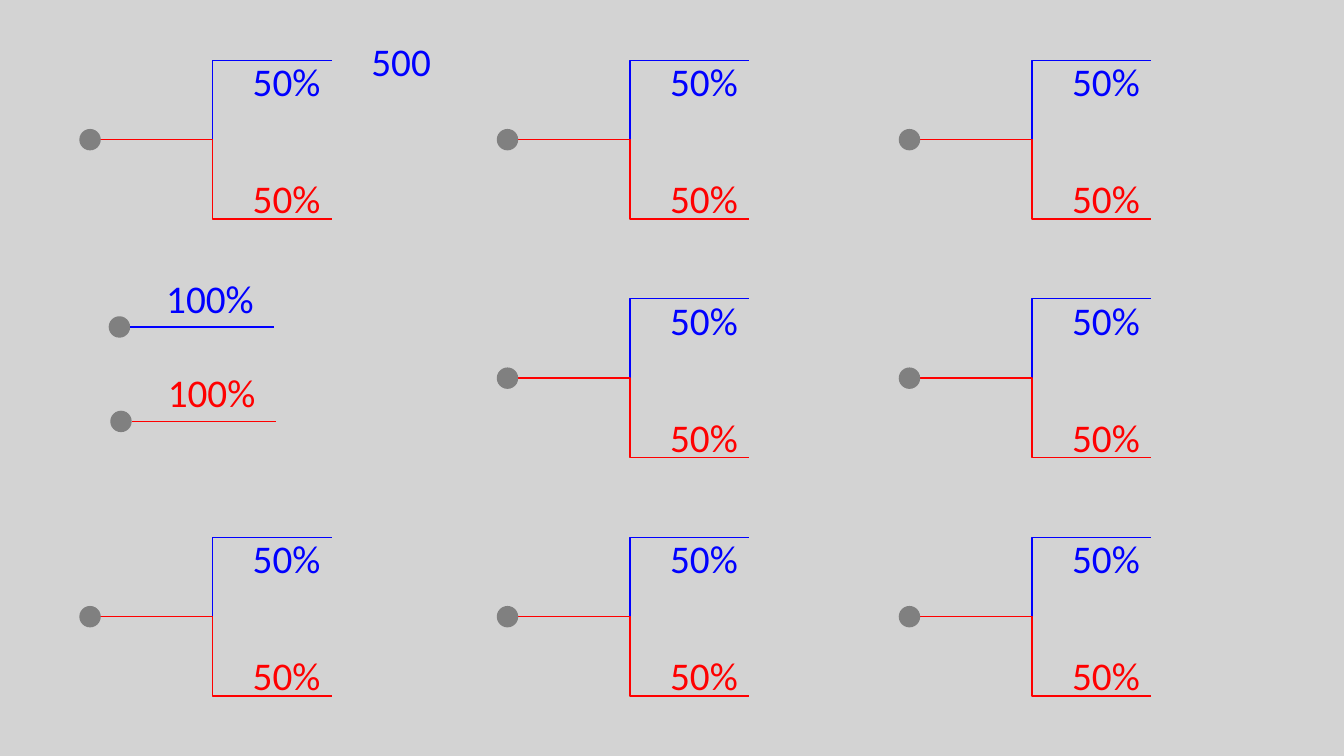
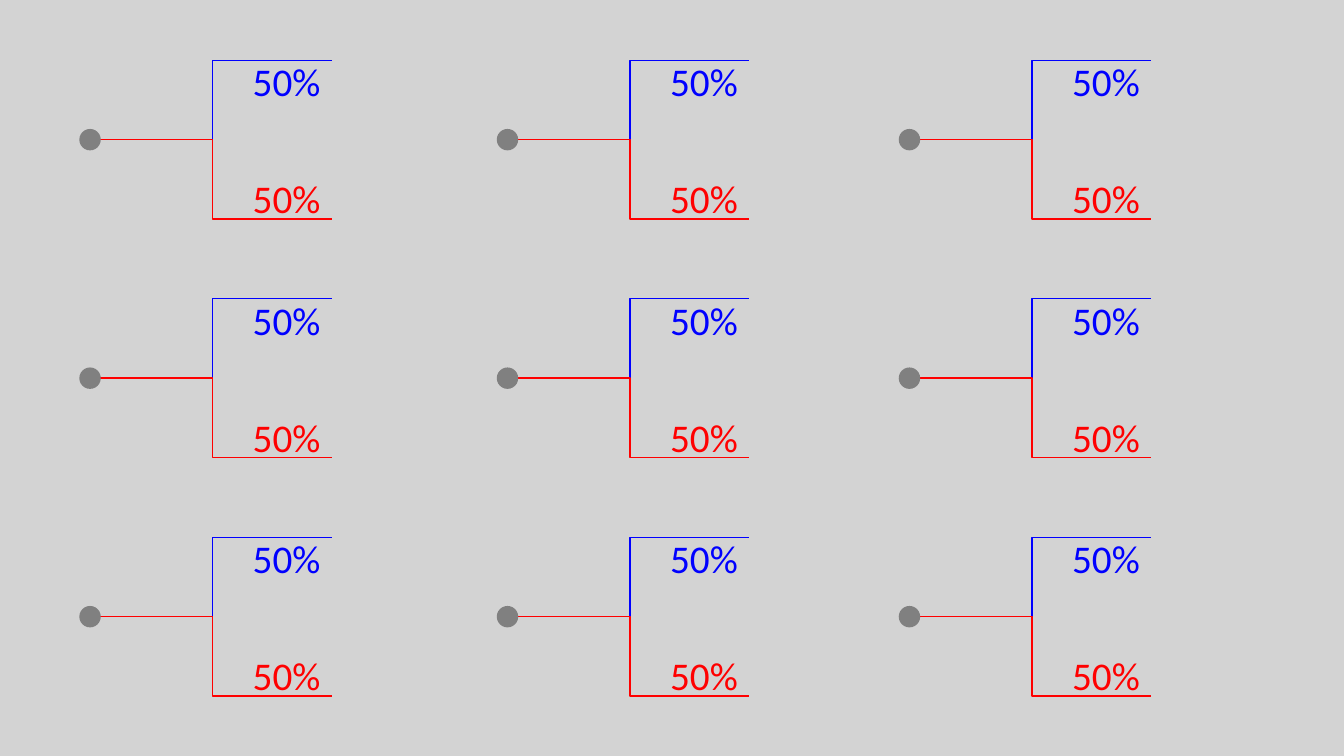
from dataclasses import dataclass
from itertools import product

from lxml.etree import SubElement
from pptx import Presentation
from pptx.dml.color import RGBColor
from pptx.enum.shapes import MSO_CONNECTOR, MSO_SHAPE
from pptx.enum.text import MSO_AUTO_SIZE, PP_ALIGN
from pptx.oxml.ns import qn
from pptx.util import Cm, Pt


@dataclass(frozen=True)
class Theme:
    background: RGBColor = RGBColor(0xD3, 0xD3, 0xD3)
    node: RGBColor = RGBColor(0x80, 0x80, 0x80)
    upper: RGBColor = RGBColor(0x00, 0x00, 0xFF)
    lower: RGBColor = RGBColor(0xFF, 0x00, 0x00)
    font: str = "Calibri"
    label_size: Pt = Pt(28)
    branch_weight: Pt = Pt(1)


THEME = Theme()
COLUMNS = (2.36, 12.88, 23.01)
ROWS = tuple(3.52 + 6.01 * row for row in range(3))
NODE_SIZE = 0.54
BRANCH_WIDTH, BRANCH_RISE = 6, 2
LABEL_HEIGHT = 1.45


def apply_format(target, values):
    for attribute, value in values.items():
        setattr(target, attribute, value)


def add_label(shapes, wording, left, top, color, width=2.24, wrap=False, align=None):
    label = shapes.add_textbox(Cm(left), Cm(top), Cm(width), Cm(LABEL_HEIGHT))
    apply_format(label.text_frame, {
        "word_wrap": wrap,
        "auto_size": MSO_AUTO_SIZE.SHAPE_TO_FIT_TEXT,
    })
    paragraph = label.text_frame.paragraphs[0]
    paragraph.alignment = align
    run = paragraph.add_run()
    run.text = wording
    apply_format(run.font, {"name": THEME.font, "size": THEME.label_size})
    run.font.color.rgb = color


def add_branch(shapes, kind, start, end, color):
    branch = shapes.add_connector(kind, *(Cm(value) for value in (*start, *end)))
    branch.line.width = THEME.branch_weight
    branch.line.color.rgb = color
    SubElement(branch.element.spPr, qn("a:effectLst"))


def add_node(shapes, center_x, center_y):
    node = shapes.add_shape(
        MSO_SHAPE.OVAL,
        Cm(center_x - NODE_SIZE / 2), Cm(center_y - NODE_SIZE / 2),
        Cm(NODE_SIZE), Cm(NODE_SIZE),
    )
    node.shadow.inherit = False
    node.fill.solid()
    node.fill.fore_color.rgb = THEME.node
    node.line.fill.background()


def add_split(slide, x, y):
    shapes = slide.shapes.add_group_shape().shapes
    outcomes = (
        (THEME.upper, -BRANCH_RISE, -2.2),
        (THEME.lower, BRANCH_RISE, 0.75),
    )
    for color, rise, label_offset in outcomes:
        add_branch(shapes, MSO_CONNECTOR.ELBOW, (x, y),
                   (x + BRANCH_WIDTH, y + rise), color)
        add_label(shapes, "50%", x + 3.76, y + label_offset, color)
    add_node(shapes, x - 0.09, y)


def add_certainty(slide, x, y, color):
    shapes = slide.shapes.add_group_shape().shapes
    add_node(shapes, x, y)
    start = x + NODE_SIZE / 2
    add_branch(shapes, MSO_CONNECTOR.STRAIGHT, (start, y), (start + 3.63, y), color)
    add_label(shapes, "100%", x + 0.93, y - 1.46, color, width=2.74)


def add_splits(slide, skipped=()):
    for column, row in product(range(len(COLUMNS)), range(len(ROWS))):
        if (column, row) not in skipped:
            add_split(slide, COLUMNS[column], ROWS[row])


def build_mixed_slide(slide):
    add_splits(slide, skipped={(0, 1)})
    add_label(slide.shapes, "500", 8.99, 0.81, THEME.upper,
              wrap=True, align=PP_ALIGN.CENTER)
    add_certainty(slide, 3.01, 8.24, THEME.upper)
    add_certainty(slide, 3.05, 10.62, THEME.lower)


def main():
    deck = Presentation()
    apply_format(deck, {"slide_width": Cm(33.87), "slide_height": Cm(19.05)})
    backdrop = deck.slide_master.background.fill
    backdrop.solid()
    backdrop.fore_color.rgb = THEME.background
    blank = deck.slide_layouts.get_by_name("Blank")
    for build in (build_mixed_slide, add_splits):
        build(deck.slides.add_slide(blank))
    deck.save("out.pptx")


main()
